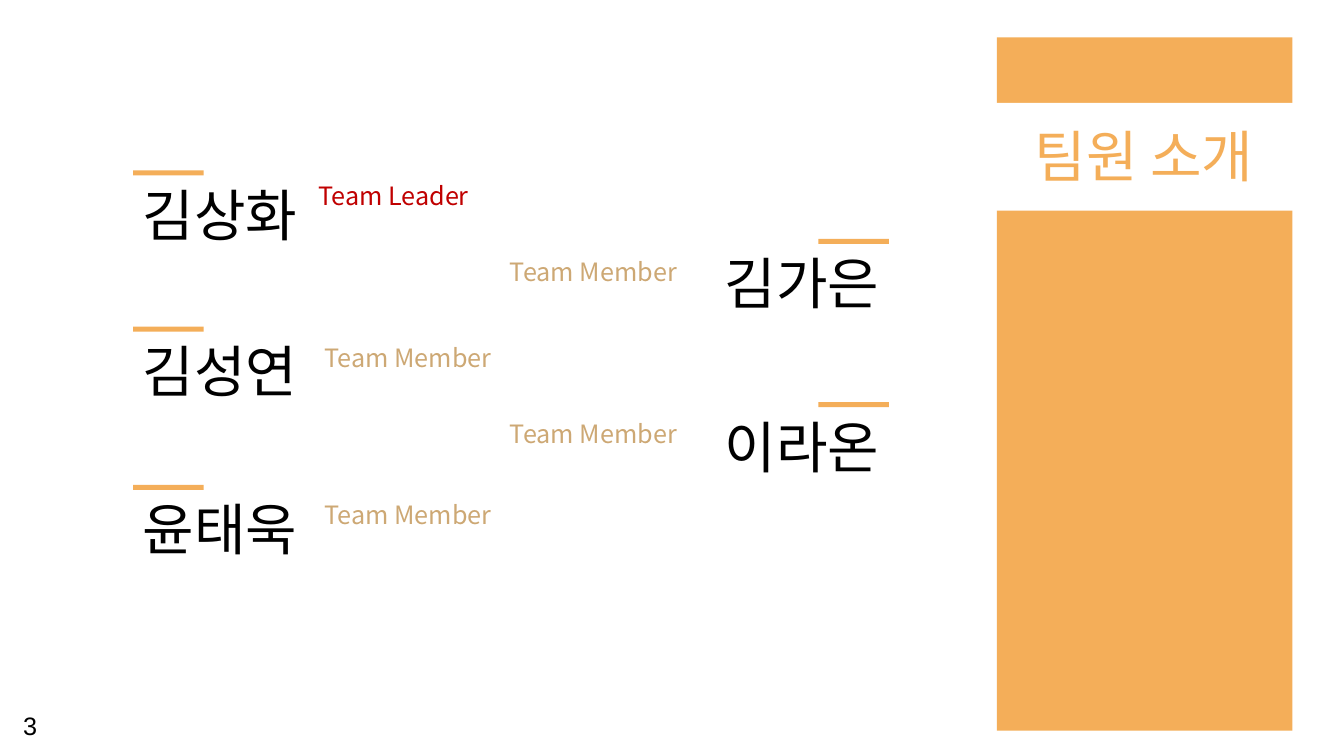
from lxml.etree import SubElement
from pptx import Presentation
from pptx.dml.color import RGBColor
from pptx.enum.shapes import MSO_SHAPE
from pptx.enum.text import MSO_ANCHOR, MSO_AUTO_SIZE, PP_ALIGN
from pptx.oxml.ns import qn
from pptx.util import Inches, Pt

WIDTH, HEIGHT = Inches(13.333), Inches(7.5)
COLOURS = {"orange": "F4AE59", "white": "FFFFFF", "black": "000000",
           "tan": "CDA874", "red": "C00000"}
KOREAN = "Noto Sans CJK KR"

# All lengths below are percentages of the slide's width or height.
LEFT_EDGE, RIGHT_EDGE = 9.9, 66.15
BAR_WIDTH, BAR_HEIGHT = 5.25, 0.67
NAME_WIDTH, NAME_HEIGHT = 19.8, 10.27
ROLE_WIDTH, ROLE_HEIGHT = 16.05, 5.33

# Name, right-hand column?, bar top, role, role colour, role left, role top
TEAM = [
    ("김상화", False, 22.53, "Team Leader", "red", 22.95, 23.2),
    ("김가은", True, 31.6, "Team Member", "tan", 37.2, 33.2),
    ("김성연", False, 43.2, "Team Member", "tan", 23.4, 44.67),
    ("이라온", True, 53.2, "Team Member", "tan", 37.2, 54.67),
    ("윤태욱", False, 64.13, "Team Member", "tan", 23.4, 65.33),
]


def colour(name):
    return RGBColor.from_string(COLOURS[name])


def place(left, top, width, height):
    return (round(WIDTH * left / 100), round(HEIGHT * top / 100),
            round(WIDTH * width / 100), round(HEIGHT * height / 100))


def add_block(page, area, fill):
    block = page.shapes.add_shape(MSO_SHAPE.RECTANGLE, *place(*area))
    block.shadow.inherit = False
    block.fill.solid()
    block.fill.fore_color.rgb = colour(fill)
    block.line.fill.background()
    return block


def write(box, text, size=18, ink="black", font=KOREAN, align=PP_ALIGN.LEFT):
    box.text_frame.word_wrap = True
    para = box.text_frame.paragraphs[0]
    para.alignment = align
    span = para.add_run()
    span.text = text
    span.font.size = Pt(size)
    span.font.name = font
    span.font.color.rgb = colour(ink)
    # Hangul takes its typeface from the East Asian font
    SubElement(span._r.get_or_add_rPr(), qn("a:ea"), typeface=font)
    return para


def add_label(page, area, text, **style):
    box = page.shapes.add_textbox(*place(*area))
    box.text_frame.auto_size = MSO_AUTO_SIZE.SHAPE_TO_FIT_TEXT
    write(box, text, **style)


def add_title_panel(page, title):
    add_block(page, (74.18, 4.93, 21.98, 91.73), "orange")
    band = add_block(page, (72.53, 13.6, 25.2, 14.27), "white")
    frame = band.text_frame
    frame.vertical_anchor = MSO_ANCHOR.MIDDLE
    frame.margin_top = Inches(0.1)
    para = write(band, title, size=40, ink="orange", align=PP_ALIGN.CENTER)
    para.line_spacing = 0.9


def add_member(page, name, on_right, top, role, ink, role_left, role_top):
    bar_left = RIGHT_EDGE - BAR_WIDTH if on_right else LEFT_EDGE
    name_left = RIGHT_EDGE - NAME_WIDTH if on_right else LEFT_EDGE
    add_block(page, (bar_left, top, BAR_WIDTH, BAR_HEIGHT), "orange")
    add_label(page, (name_left, top + BAR_HEIGHT, NAME_WIDTH, NAME_HEIGHT), name,
              size=40, align=PP_ALIGN.RIGHT if on_right else PP_ALIGN.LEFT)
    add_label(page, (role_left, role_top, ROLE_WIDTH, ROLE_HEIGHT), role, ink=ink)


def main():
    deck = Presentation()
    deck.slide_width, deck.slide_height = WIDTH, HEIGHT
    page = deck.slides.add_slide(deck.slide_layouts[6])

    # Title panel on the right
    add_title_panel(page, "팀원 소개")

    # Team members in two staggered columns
    for member in TEAM:
        add_member(page, *member)

    # Page number
    add_label(page, (0.98, 93.33, 2.1, 5.33), "3", font="Arial")

    deck.save("out.pptx")


if __name__ == "__main__":
    main()
